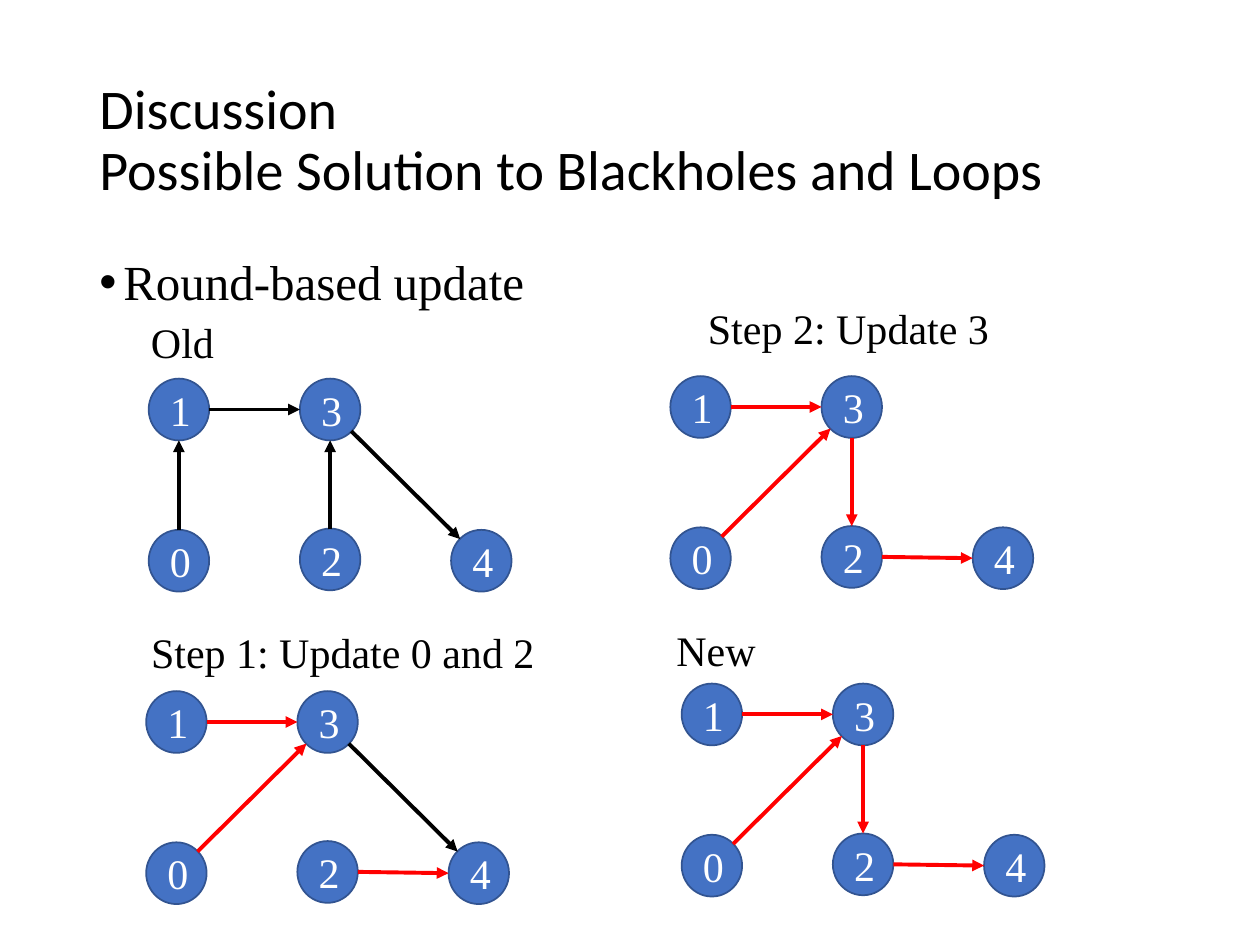
from lxml import etree
from pptx import Presentation
from pptx import util as u
from pptx.dml.color import RGBColor
from pptx.enum import shapes, text
from pptx.oxml.ns import qn

Inches, Pt = u.Inches, u.Pt
COLORS = {"black": "000000", "white": "FFFFFF", "red": "FF0000",
          "node": "4472C4", "rim": "325491"}
SERIF = "Times New Roman"
WIDE, HIGH = 0.48, 0.49
# Node centres, measured from the centre of node 1
NODES = {0: (0, 1.2), 1: (0, 0), 4: (2.4, 1.2), 3: (1.2, 0), 2: (1.2, 1.19)}

OLD = [(0, 1, "black"), (1, 3, "black"), (3, 4, "black"), (2, 3, "black")]
FIRST = [(1, 3, "red"), (3, 4, "black"), (0, 3, "red"), (2, 4, "red")]
NEW = [(0, 3, "red"), (1, 3, "red"), (3, 2, "red"), (2, 4, "red")]
# Label, its box, centre of node 1, edges
GRAPHS = [
    ("Old", (1.1, 2.46, 0.7), (1.42, 3.25), OLD),
    ("Step 2: Update 3", (5.52, 2.35, 2.55), (5.56, 3.23), NEW),
    ("Step 1: Update 0 and 2", (1.1, 4.92, 3.42), (1.4, 5.73), FIRST),
    ("New", (5.27, 4.91, 0.86), (5.65, 5.67), NEW),
]

deck = Presentation()
deck.slide_width, deck.slide_height = Inches(10), Inches(7.5)
slide = deck.slides.add_slide(deck.slide_layouts[6])


def write(frame, words, size, face=SERIF, color="black", bullet=None):
    """Fill a text frame with one paragraph and return that paragraph."""
    frame.text = words
    para = frame.paragraphs[0]
    if bullet:
        props = para._p.get_or_add_pPr()
        props.set("marL", str(Inches(0.19)))
        props.set("indent", str(-Inches(0.19)))
        etree.SubElement(props, qn("a:buFont")).set("typeface", "Arial")
        etree.SubElement(props, qn("a:buChar")).set("char", bullet)
    para.font.size, para.font.name = Pt(size), face
    para.font.color.rgb = RGBColor.from_string(COLORS[color])
    return para


def rim(start, end):
    """Point on the start node's rim, at the eighth turn facing the end node."""
    signs = [0 if abs(b - a) < 0.1 else (1 if b > a else -1)
             for a, b in zip(start, end)]
    reach = 0.35 if all(signs) else 0.5
    return [Inches(a + s * reach * side)
            for a, s, side in zip(start, signs, (WIDE, HIGH))]


body = slide.shapes.add_textbox(Inches(0.69), Inches(2), Inches(9.18), Inches(4.76))
body.text_frame.word_wrap = True
write(body.text_frame, "Round-based update", 28, bullet="•").line_spacing = 0.9

title = slide.shapes.add_textbox(Inches(0.69), Inches(0.4), Inches(8.62), Inches(1.45))
title.text_frame.word_wrap = True
title.text_frame.vertical_anchor = text.MSO_ANCHOR.MIDDLE
write(title.text_frame, "Discussion\vPossible Solution to Blackholes and Loops",
      32, "Calibri").line_spacing = 0.9

for label, (left, top, width), (x, y), edges in GRAPHS:
    box = slide.shapes.add_textbox(Inches(left), Inches(top), Inches(width), Inches(0.5))
    box.text_frame.word_wrap = False
    write(box.text_frame, label, 24)

    graph = slide.shapes.add_group_shape().shapes
    spots = {name: (x + dx, y + dy) for name, (dx, dy) in NODES.items()}
    for name, (cx, cy) in spots.items():
        node = graph.add_shape(shapes.MSO_SHAPE.OVAL, Inches(cx - WIDE / 2),
                               Inches(cy - HIGH / 2), Inches(WIDE), Inches(HIGH))
        node.shadow.inherit = False
        node.fill.solid()
        node.fill.fore_color.rgb = RGBColor.from_string(COLORS["node"])
        node.line.color.rgb = RGBColor.from_string(COLORS["rim"])
        node.line.width = Pt(1)
        node.text_frame.vertical_anchor = text.MSO_ANCHOR.MIDDLE
        para = write(node.text_frame, str(name), 24, color="white")
        para.alignment = text.PP_ALIGN.CENTER

    for start, end, color in edges:
        a, b = spots[start], spots[end]
        edge = graph.add_connector(shapes.MSO_CONNECTOR.STRAIGHT, *rim(a, b), *rim(b, a))
        edge.line.color.rgb = RGBColor.from_string(COLORS[color])
        edge.line.width = Pt(2.25)
        etree.SubElement(edge.line._get_or_add_ln(), qn("a:tailEnd")).set("type", "triangle")
        etree.SubElement(edge._element.spPr, qn("a:effectLst"))

deck.save("out.pptx")
